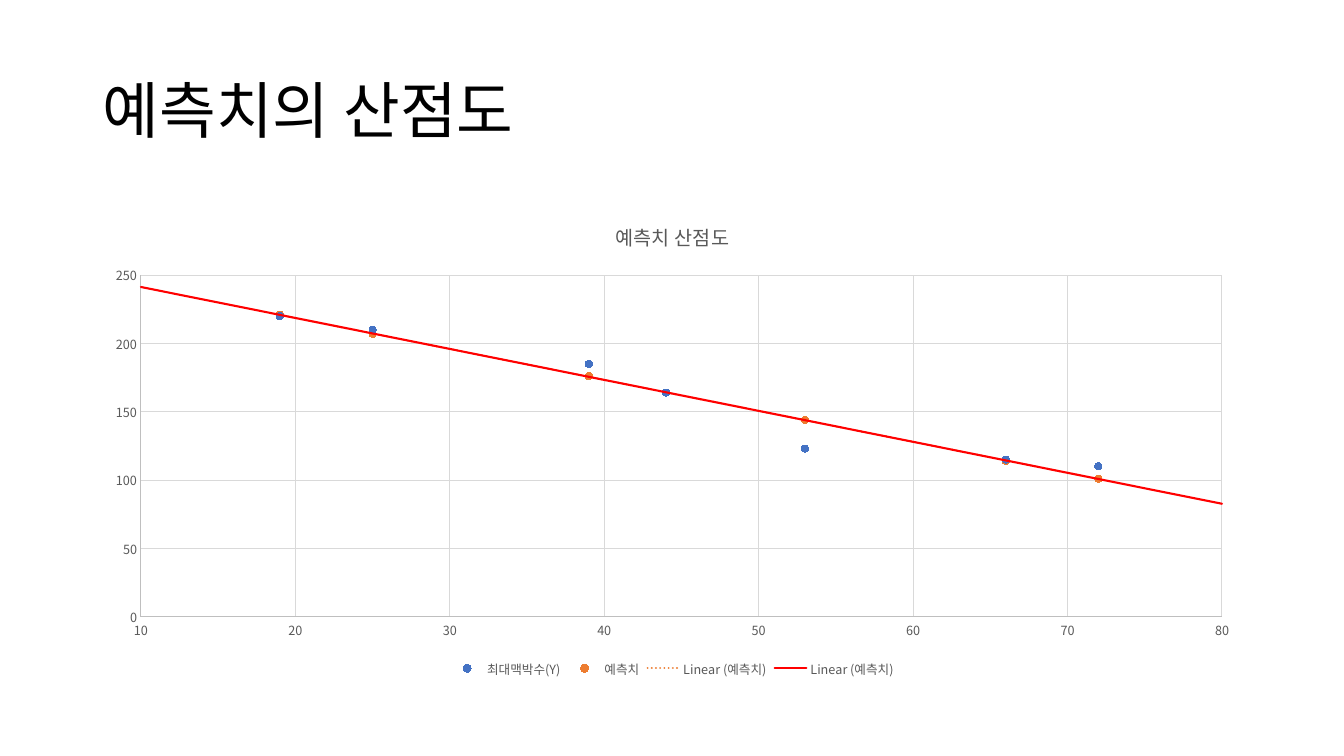
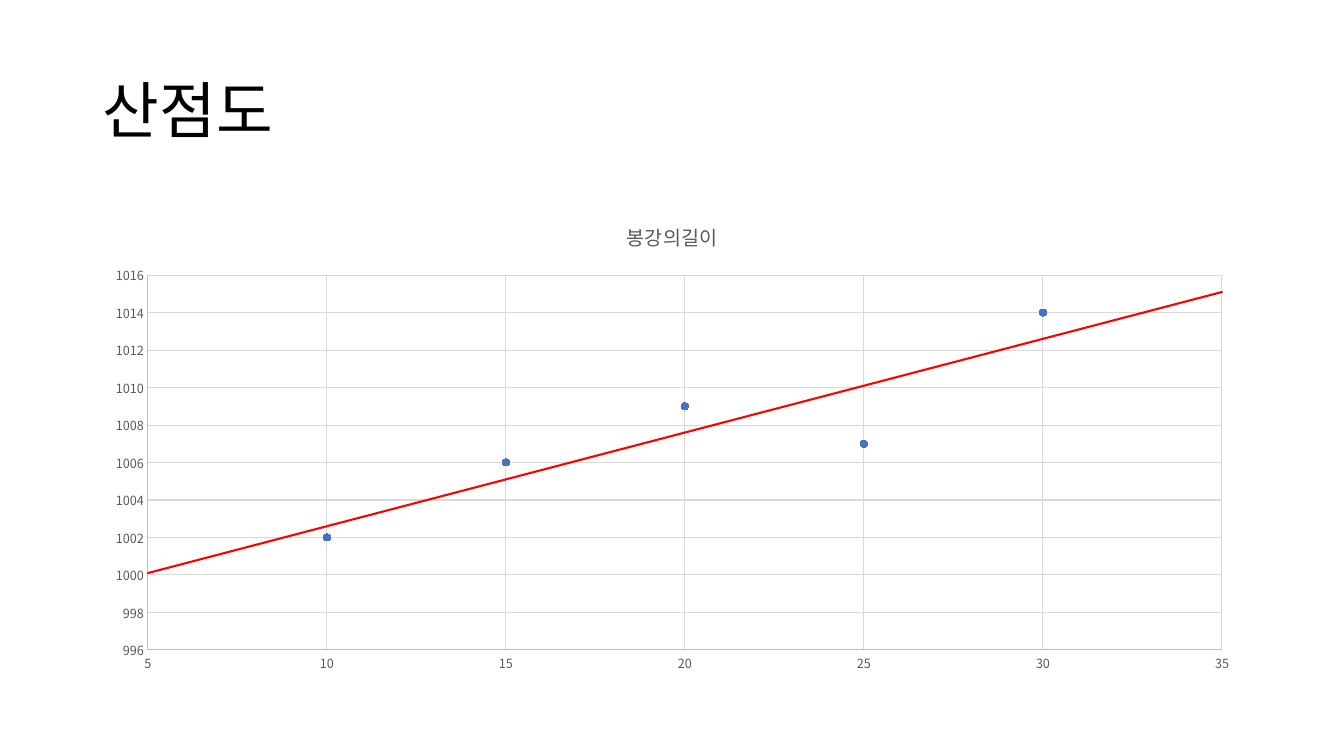
from lxml import etree
from pptx import Presentation
from pptx.chart.data import XyChartData
from pptx.dml.color import RGBColor
from pptx.enum.chart import (XL_CHART_TYPE as ChartType, XL_LEGEND_POSITION as LegendPosition,
                             XL_MARKER_STYLE as MarkerStyle, XL_TICK_MARK as TickMark)
from pptx.enum.text import MSO_ANCHOR as Anchor, MSO_AUTO_SIZE as AutoSize, PP_ALIGN as Align
from pptx.oxml import parse_xml
from pptx.oxml.ns import nsdecls, qn
from pptx.util import Inches, Pt

# Shared look
FONT = "Noto Sans CJK KR"
BLACK, GREY, AXIS, GRID = "000000", "595959", "BFBFBF", "D9D9D9"
BLUE, ORANGE, RED = "4472C4", "ED7D31", "FF0000"
SERIES_COLORS = (BLUE, ORANGE)
WIDTH, HEIGHT = Inches(13.33), Inches(7.5)
LEFT, CONTENT_WIDTH = Inches(0.92), Inches(11.5)


def color(hex_string):
    return RGBColor.from_string(hex_string)


def style_font(font, size, hex_string):
    font.name, font.size, font.bold = FONT, Pt(size), False
    font.color.rgb = color(hex_string)


def style_line(line, hex_string, width=0.75):
    line.color.rgb = color(hex_string)
    line.width = Pt(width)


def add_east_asian_font(element):
    """Use the named font for Korean characters as well."""
    for latin in list(element.iter(qn("a:latin"))):
        east_asian = etree.Element(qn("a:ea"), typeface=FONT)
        latin.addnext(east_asian)


def add_titled_slide(deck, text):
    slide = deck.slides.add_slide(deck.slide_layouts[5])
    title = slide.shapes.title
    title.left, title.top = LEFT, Inches(0.4)
    title.width, title.height = CONTENT_WIDTH, Inches(1.45)
    frame = title.text_frame
    frame.text = text
    frame.vertical_anchor, frame.auto_size = Anchor.MIDDLE, AutoSize.NONE
    para = frame.paragraphs[0]
    para.alignment, para.line_spacing = Align.LEFT, 0.9
    style_font(para.runs[0].font, 44, BLACK)
    add_east_asian_font(title.element)
    return slide


def style_axis(axis, low, high, step):
    axis.minimum_scale, axis.maximum_scale, axis.major_unit = low, high, step
    axis.major_tick_mark = axis.minor_tick_mark = TickMark.NONE
    axis.has_major_gridlines = True
    style_line(axis.major_gridlines.format.line, GRID)
    style_line(axis.format.line, AXIS)
    style_font(axis.tick_labels.font, 9, GREY)


def add_trend(series_element, hex_string, dash, forward=0, backward=0):
    """Add a linear trend line, extended past the data at both ends."""
    trend = parse_xml(
        f'<c:trendline {nsdecls("c", "a")}><c:spPr><a:ln w="{Pt(1.5)}" cap="rnd">'
        f'<a:solidFill><a:srgbClr val="{hex_string}"/></a:solidFill>'
        f'<a:prstDash val="{dash}"/></a:ln></c:spPr><c:trendlineType val="linear"/>'
        f'<c:forward val="{forward}"/><c:backward val="{backward}"/>'
        '<c:dispRSqr val="0"/><c:dispEq val="0"/></c:trendline>')
    series_element.find(qn("c:xVal")).addprevious(trend)


def add_scatter(slide, title, x_values, columns, x_scale, y_scale, trends, legend=False):
    data = XyChartData()
    for name, y_values in columns.items():
        series = data.add_series(name)
        for x, y in zip(x_values, y_values):
            series.add_data_point(x, y)
    chart = slide.shapes.add_chart(ChartType.XY_SCATTER, LEFT, Inches(2),
                                   CONTENT_WIDTH, Inches(4.76), data).chart
    style_font(chart.font, 10, BLACK)

    # Title and legend
    chart.has_title = True
    chart.chart_title.text_frame.text = title
    style_font(chart.chart_title.text_frame.paragraphs[0].runs[0].font, 14, GREY)
    chart.has_legend = legend
    if legend:
        chart.legend.position = LegendPosition.BOTTOM
        chart.legend.include_in_layout = False
        style_font(chart.legend.font, 9, GREY)

    # Axes, markers and trend lines
    style_axis(chart.category_axis, *x_scale)
    style_axis(chart.value_axis, *y_scale)
    plot = chart.plots[0]
    plot.vary_by_categories = False
    for series, hex_string in zip(plot.series, SERIES_COLORS):
        series.format.line.fill.background()
        marker = series.marker
        marker.style, marker.size = MarkerStyle.CIRCLE, 5
        marker.format.fill.solid()
        marker.format.fill.fore_color.rgb = color(hex_string)
        style_line(marker.format.line, hex_string)
    last_series = list(chart.element.iter(qn("c:ser")))[-1]
    for trend in trends:
        add_trend(last_series, *trend)
    add_east_asian_font(chart.element)


def main():
    deck = Presentation()
    deck.slide_width, deck.slide_height = WIDTH, HEIGHT

    # Measured and predicted heart rates
    slide = add_titled_slide(deck, "예측치의 산점도")
    add_scatter(slide, "예측치 산점도", (25, 39, 19, 44, 53, 66, 72),
                {"최대맥박수(Y)": (210, 185, 220, 164, 123, 115, 110),
                 "예측치": (207, 176, 221, 164, 144, 114, 101)},
                x_scale=(10, 80, 10), y_scale=(0, 250, 50),
                trends=[(ORANGE, "sysDot"), (RED, "solid", 8, 9)], legend=True)

    # Steel bar lengths
    slide = add_titled_slide(deck, "산점도")
    add_scatter(slide, "봉강의길이", (10, 15, 20, 25, 30),
                {"봉강의길이": (1002, 1006, 1009, 1007, 1014)},
                x_scale=(5, 35, 5), y_scale=(996, 1016, 2),
                trends=[(RED, "solid", 5, 5)])

    deck.save("out.pptx")


if __name__ == "__main__":
    main()
